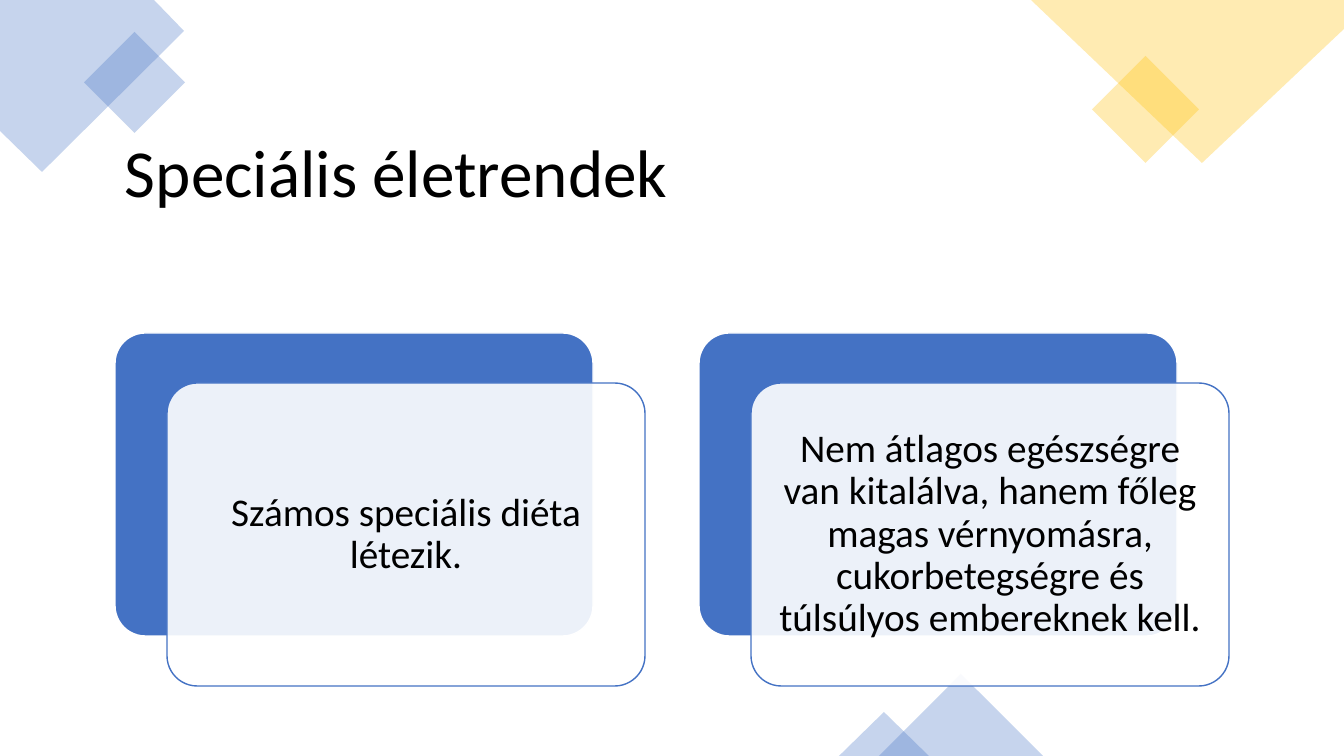
"""Build the slide on special diets: two layered cards among pale corner shapes."""
from lxml import etree
from pptx import Presentation
from pptx.dml.color import RGBColor
from pptx.enum.shapes import MSO_SHAPE
from pptx.enum.text import MSO_ANCHOR, PP_ALIGN
from pptx.oxml.ns import qn
from pptx.util import Emu, Pt

BLUE = RGBColor(0x44, 0x72, 0xC4)
GOLD = RGBColor(0xFF, 0xC0, 0x00)
WHITE = RGBColor(0xFF, 0xFF, 0xFF)
BLACK = RGBColor(0x00, 0x00, 0x00)
FONT = "Calibri"
SLIDE_SIZE = (1344, 756)
EMU_PER_PX = 12192000 / 1344

TITLE = "Speciális életrendek"
TITLE_BOX = (115, 90, 1122, 171)
CARDS = [
    "Számos speciális diéta létezik.",
    "Nem átlagos egészségre van kitalálva, hanem főleg magas vérnyomásra, "
    "cukorbetegségre és túlsúlyos embereknek kell.",
]
CARD_LEFT, CARD_TOP, CARD_STEP = 115, 333, 584
CARD_SIZE = (478, 303)
PANEL_SHIFT = (52, 50)
PANEL_INSET = 12

CORNERS = [
    ([(0, 0), (154, 0), (184, 31), (42, 172), (0, 131)], BLUE),
    ([(1031, 0), (1344, 0), (1344, 29), (1202, 163)], GOLD),
]
ORNAMENTS = [
    (MSO_SHAPE.DIAMOND, (84, 32, 101, 101), BLUE),
    (MSO_SHAPE.DIAMOND, (1092, 56, 107, 107), GOLD),
    (MSO_SHAPE.ISOSCELES_TRIANGLE, (879, 674, 164, 82), BLUE),
    (MSO_SHAPE.ISOSCELES_TRIANGLE, (839, 712, 90, 44), BLUE),
]


def px(length):
    return Emu(round(length * EMU_PER_PX))


def paint(shape, color, opacity=100, outline=None):
    shape.shadow.inherit = False
    shape.fill.solid()
    shape.fill.fore_color.rgb = color
    if opacity < 100:
        tint = shape.fill._xPr.find(qn("a:solidFill"))[0]
        etree.SubElement(tint, qn("a:alpha")).set("val", str(opacity * 1000))
    if outline is None:
        shape.line.fill.background()
    else:
        shape.line.color.rgb = outline
        shape.line.width = Pt(1)


def write(shape, text, size, align):
    frame = shape.text_frame
    frame.word_wrap = True
    frame.vertical_anchor = MSO_ANCHOR.MIDDLE
    paragraph = frame.paragraphs[0]
    paragraph.text = text
    paragraph.alignment = align
    paragraph.line_spacing = 0.9
    paragraph.font.name = FONT
    paragraph.font.size = Pt(size)
    paragraph.font.color.rgb = BLACK


def add_rounded(slide, left, top):
    box = slide.shapes.add_shape(
        MSO_SHAPE.ROUNDED_RECTANGLE, *map(px, (left, top, *CARD_SIZE)))
    box.adjustments[0] = 0.1
    return box


def add_card(slide, text, left):
    backing = add_rounded(slide, left, CARD_TOP)
    paint(backing, BLUE, outline=WHITE)
    panel = add_rounded(slide, left + PANEL_SHIFT[0], CARD_TOP + PANEL_SHIFT[1])
    paint(panel, WHITE, 90, BLUE)
    frame = panel.text_frame
    frame.margin_left = frame.margin_right = px(PANEL_INSET)
    frame.margin_top = frame.margin_bottom = px(PANEL_INSET)
    write(panel, text, 28, PP_ALIGN.CENTER)


def main():
    deck = Presentation()
    deck.slide_width, deck.slide_height = map(px, SLIDE_SIZE)
    slide = deck.slides.add_slide(deck.slide_layouts[6])

    for points, color in CORNERS:
        outline = slide.shapes.build_freeform(*points[0], scale=EMU_PER_PX)
        outline.add_line_segments(points[1:], close=True)
        paint(outline.convert_to_shape(), color, 30)
    for kind, box, color in ORNAMENTS:
        paint(slide.shapes.add_shape(kind, *map(px, box)), color, 30)

    title = slide.shapes.add_textbox(*map(px, TITLE_BOX))
    write(title, TITLE, 48, PP_ALIGN.LEFT)
    for index, text in enumerate(CARDS):
        add_card(slide, text, CARD_LEFT + index * CARD_STEP)
    deck.save("out.pptx")


if __name__ == "__main__":
    main()
